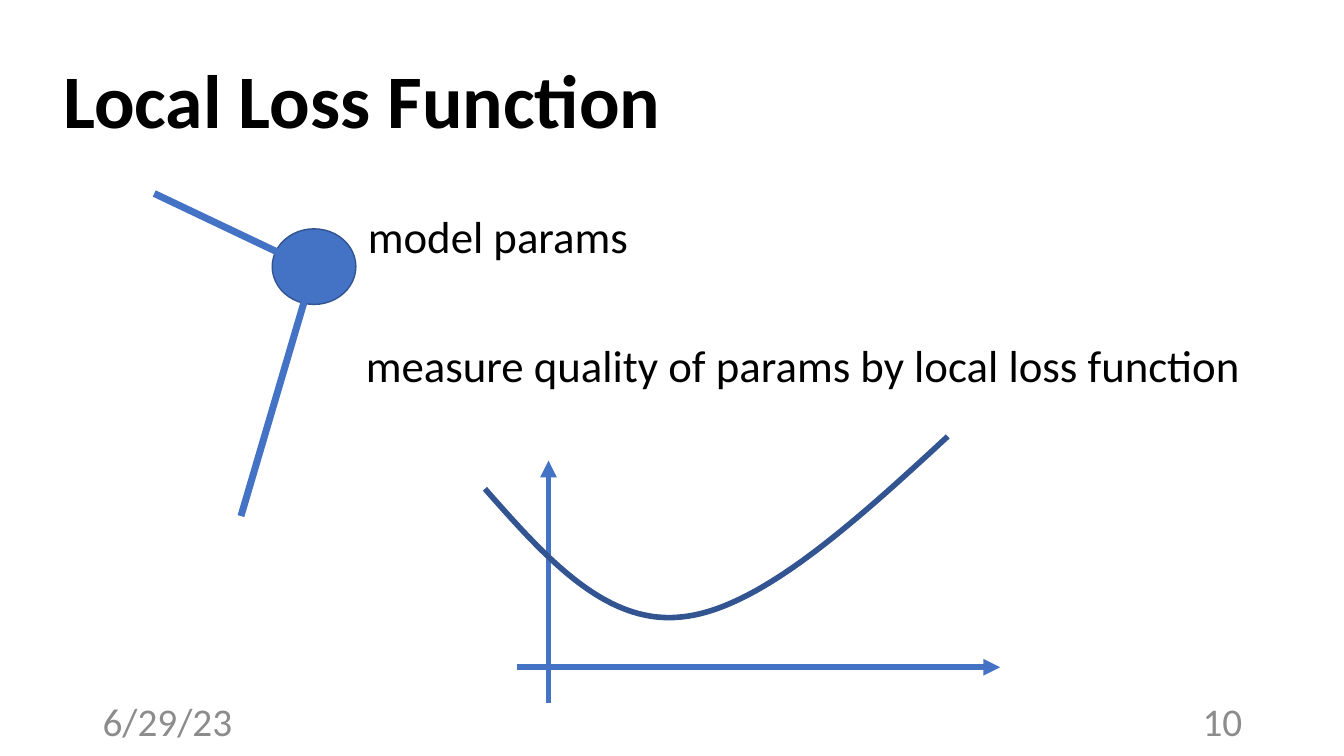
from dataclasses import dataclass

import pptx
import pptx.dml.color
import pptx.enum.shapes
import pptx.enum.text
import pptx.oxml
import pptx.oxml.ns
import pptx.slide
import pptx.util

PX = 9144
ANCHOR = pptx.enum.text.MSO_ANCHOR
ALIGN = pptx.enum.text.PP_ALIGN
Point = tuple[int, int]


@dataclass(frozen=True)
class Theme:
    font: str = "Calibri"
    ink: str = "000000"
    muted: str = "8C8C8C"
    blue: str = "4472C4"
    dark_blue: str = "325491"
    title_size: int = 54
    body_size: int = 32
    footer_size: int = 28
    outline: int = 1
    axis_width: int = 4
    edge_width: int = 5


THEME = Theme()


@dataclass(frozen=True)
class Label:
    text: str
    left: int
    top: int
    width: int
    height: int
    size: int = THEME.body_size
    color: str = THEME.ink
    bold: bool = False
    wrap: bool = True
    grow: bool = True
    anchor: ANCHOR = ANCHOR.TOP
    align: ALIGN = ALIGN.LEFT


@dataclass(frozen=True)
class Line:
    start: Point
    end: Point
    width: int
    arrow: bool = False


@dataclass(frozen=True)
class Footer(Label):
    size: int = THEME.footer_size
    color: str = THEME.muted
    grow: bool = False
    anchor: ANCHOR = ANCHOR.MIDDLE


LABELS = [
    Label("Local Loss Function", 53, 48, 642, 101,
          size=THEME.title_size, bold=True, wrap=False),
    Label("model params", 355, 202, 281, 64, wrap=False),
    Label("measure quality of params by local loss function", 353, 330, 928, 64),
    Footer("6/29/23", 92, 695, 300, 40),
    Footer("10", 942, 695, 300, 40, align=ALIGN.RIGHT),
]
NODE = (270, 227, 83, 75)
EDGES = [
    Line((153, 192), (294, 259), THEME.edge_width),
    Line((239, 512), (305, 288), THEME.edge_width),
]
AXES = [
    Line((544, 697), (544, 457), THEME.axis_width, arrow=True),
    Line((513, 662), (992, 662), THEME.axis_width, arrow=True),
]
LOSS_CURVE = [
    [(481, 485), (541, 553), (601, 621), (677, 612)],
    [(677, 612), (753, 604), (847, 519), (940, 433)],
]
CURVE_STEPS = 40


def rgb(color: str) -> pptx.dml.color.RGBColor:
    return pptx.dml.color.RGBColor.from_string(color)


def draw_label(slide: pptx.slide.Slide, label: Label) -> None:
    box = slide.shapes.add_textbox(
        label.left * PX, label.top * PX, label.width * PX, label.height * PX)
    frame = box.text_frame
    frame.text = label.text
    frame.word_wrap = label.wrap
    frame.vertical_anchor = label.anchor
    if label.grow:
        frame.auto_size = pptx.enum.text.MSO_AUTO_SIZE.SHAPE_TO_FIT_TEXT
    paragraph = frame.paragraphs[0]
    paragraph.alignment = label.align
    font = paragraph.runs[0].font
    font.name = THEME.font
    font.size = pptx.util.Pt(label.size)
    font.bold = label.bold
    font.color.rgb = rgb(label.color)


def draw_line(slide: pptx.slide.Slide, line: Line) -> None:
    connector = slide.shapes.add_connector(
        pptx.enum.shapes.MSO_CONNECTOR.STRAIGHT,
        *(value * PX for value in line.start + line.end))
    connector.line.color.rgb = rgb(THEME.blue)
    connector.line.width = pptx.util.Pt(line.width)
    if line.arrow:
        arrowhead = pptx.oxml.parse_xml(
            f'<a:tailEnd {pptx.oxml.ns.nsdecls("a")} type="triangle"/>')
        connector.line._get_or_add_ln().append(arrowhead)
    connector._element.spPr.append(
        pptx.oxml.parse_xml(f'<a:effectLst {pptx.oxml.ns.nsdecls("a")}/>'))


def draw_node(slide: pptx.slide.Slide) -> None:
    node = slide.shapes.add_shape(
        pptx.enum.shapes.MSO_SHAPE.OVAL, *(value * PX for value in NODE))
    node.shadow.inherit = False
    node.fill.solid()
    node.fill.fore_color.rgb = rgb(THEME.blue)
    node.line.color.rgb = rgb(THEME.dark_blue)
    node.line.width = pptx.util.Pt(THEME.outline)


def bezier_point(controls: list[Point], t: float) -> tuple[float, float]:
    weights = ((1 - t) ** 3, 3 * t * (1 - t) ** 2, 3 * t * t * (1 - t), t ** 3)
    x, y = (sum(w * value for w, value in zip(weights, axis)) * PX
            for axis in zip(*controls))
    return x, y


def draw_loss_curve(slide: pptx.slide.Slide) -> None:
    points = [bezier_point(controls, step / CURVE_STEPS)
              for controls in LOSS_CURVE for step in range(1, CURVE_STEPS + 1)]
    builder = slide.shapes.build_freeform(*bezier_point(LOSS_CURVE[0], 0))
    builder.add_line_segments(points, close=False)
    curve = builder.convert_to_shape()
    curve.shadow.inherit = False
    curve.fill.background()
    curve.line.color.rgb = rgb(THEME.dark_blue)
    curve.line.width = pptx.util.Pt(THEME.axis_width)


def main() -> None:
    deck = pptx.Presentation()
    deck.slide_width = 1333 * PX
    deck.slide_height = 750 * PX
    slide = deck.slides.add_slide(deck.slide_layouts[6])
    draw_node(slide)
    for line in EDGES + AXES:
        draw_line(slide, line)
    draw_loss_curve(slide)
    for label in LABELS:
        draw_label(slide, label)
    deck.save("out.pptx")


if __name__ == "__main__":
    main()
